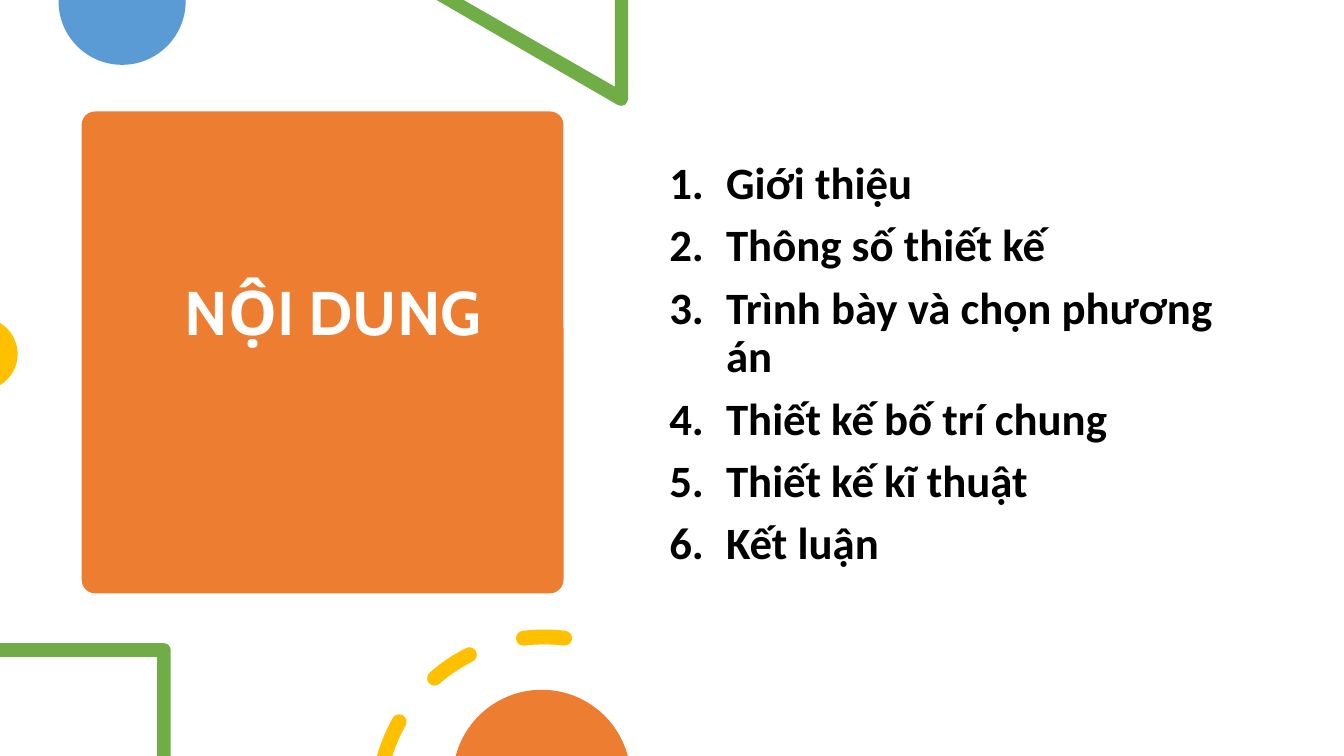
from math import cos, radians, sin, tan

from lxml import etree
from pptx import Presentation
from pptx.dml.color import RGBColor
from pptx.enum.shapes import MSO_SHAPE
from pptx.enum.text import MSO_ANCHOR
from pptx.oxml.ns import qn
from pptx.util import Pt

ROUNDED = MSO_SHAPE.ROUNDED_RECTANGLE
TOP, MIDDLE = MSO_ANCHOR.TOP, MSO_ANCHOR.MIDDLE

COLORS = {
    "orange": "ED7D31",
    "blue": "5B9BD5",
    "green": "70AD47",
    "yellow": "FFC000",
    "white": "FFFFFF",
    "black": "000000",
}
TITLE_FONT = {"name": "Cabin", "size": Pt(44), "bold": True}
LIST_FONT = {"name": "Calibri", "size": Pt(32), "bold": True}

AGENDA = [
    "Giới thiệu",
    "Thông số thiết kế",
    "Trình bày và chọn phương án",
    "Thiết kế bố trí chung",
    "Thiết kế kĩ thuật",
    "Kết luận",
]

RING = (388.8, 574)
RING_RADIUS, HALF_WIDTH = 119, 5.3


def on_circle(center, radius, angle):
    turn = radians(angle)
    return center[0] + radius * cos(turn), center[1] + radius * sin(turn)


def arc(center, radius, start, end, pieces=2):
    """Start point, then one (control, control, end) curve for each piece."""
    step = (end - start) / pieces
    reach = radius * 4 / 3 * tan(radians(step / 4))
    result = [on_circle(center, radius, start)]
    for i in range(pieces):
        a, b = start + i * step, start + (i + 1) * step
        first, last = on_circle(center, radius, a), on_circle(center, radius, b)
        result.append((on_circle(first, reach, a + 90),
                       on_circle(last, reach, b - 90), last))
    return result


def ring_dash(start, end, inner_start=None, round_start=True):
    """A dash on the ring around the orange disc."""
    inner_start = start if inner_start is None else inner_start
    cap = arc(on_circle(RING, RING_RADIUS, end), HALF_WIDTH, end, end + 180)
    inner = arc(RING, RING_RADIUS - HALF_WIDTH, end, inner_start, 1)
    dash = arc(RING, RING_RADIUS + HALF_WIDTH, start, end) + cap[1:]
    if not round_start:
        return dash + inner[1:]
    tail = on_circle(RING, RING_RADIUS, start)
    return dash + inner[1:] + arc(tail, HALF_WIDTH, start + 180, start + 360)[1:]


class SlideBuilder:
    def __init__(self, deck):
        self.slide = deck.slides.add_slide(deck.slide_layouts[6])
        self.shapes = self.slide.shapes

    def paint(self, shape, color):
        shape.shadow.inherit = False
        shape.fill.solid()
        shape.fill.fore_color.rgb = RGBColor.from_string(COLORS[color])
        shape.line.fill.background()

    def card(self, left, top, width, height, color, rounding):
        shape = self.shapes.add_shape(ROUNDED, Pt(left), Pt(top), Pt(width), Pt(height))
        shape.adjustments[0] = rounding
        self.paint(shape, color)

    def outline(self, color, *contours):
        """Each contour is a list of points and curves."""
        builder = None
        for contour in contours:
            ends = [step[-1] if len(step) == 3 else step for step in contour]
            ends = [(Pt(x), Pt(y)) for x, y in ends]
            if builder is None:
                builder = self.shapes.build_freeform(*ends[0], scale=1.0)
            else:
                builder.move_to(*ends[0])
            builder.add_line_segments(ends[1:], close=True)
        shape = builder.convert_to_shape()
        self.paint(shape, color)

        # Bend the segments that are curves
        steps = [step for contour in contours for step in contour[1:]]
        lines = list(shape.element.iter(qn("a:lnTo")))
        for line, step in zip(lines, steps):
            if len(step) == 3:
                curve = etree.Element(qn("a:cubicBezTo"))
                for x, y in step:
                    etree.SubElement(curve, qn("a:pt"), x=str(Pt(x) - shape.left),
                                     y=str(Pt(y) - shape.top))
                line.getparent().replace(line, curve)

    def text(self, left, top, width, height, lines, font, color, anchor=TOP,
             bottom_inset=3.6, indent=0, numbered=False):
        box = self.shapes.add_textbox(Pt(left), Pt(top), Pt(width), Pt(height))
        frame = box.text_frame
        frame.word_wrap = True
        frame.vertical_anchor = anchor
        frame.margin_bottom = Pt(bottom_inset)
        for index, line in enumerate(lines):
            para = frame.paragraphs[0] if index == 0 else frame.add_paragraph()
            para.line_spacing = 0.9
            para.space_before = Pt(10 if index else 0)
            properties = para._p.get_or_add_pPr()
            properties.set("marL", str(Pt(indent)))
            if numbered:
                properties.set("indent", str(-Pt(indent)))
                etree.SubElement(properties, qn("a:buAutoNum"), type="arabicPeriod")
            span = para.add_run()
            span.text = line
            for name, value in font.items():
                setattr(span.font, name, value)
            span.font.color.rgb = RGBColor.from_string(COLORS[color])


def main():
    deck = Presentation()
    deck.slide_width, deck.slide_height = Pt(960), Pt(540)
    page = SlideBuilder(deck)

    # Title card
    page.card(58.3, 79.6, 344.2, 344.2, "orange", 0.028)
    page.text(75.6, 87.8, 310.3, 328.3, ["NỘI DUNG"], TITLE_FONT, "white",
              anchor=MIDDLE, bottom_inset=56.3, indent=49.3)

    # Decorations along the top and left edges
    page.outline("blue", [(132.6, 0), (41.8, 0)] + arc((87.2, 0.9), 45.4, 180, 0))
    page.outline("green", [(448.6, 0), (439.2, 0), (439.2, 61.9), (331.2, 0), (311.8, 0)]
                 + arc((443.7, 70.7), 4.9, 118, 0))
    page.outline("yellow", arc((-13.3, 252.9), 25.9, -59, 59))

    # Agenda
    page.text(471, 111.2, 430.6, 304.6, AGENDA, LIST_FONT, "black",
              indent=40.5, numbered=True)

    # Decorations along the bottom edge
    page.outline("green", [(121.9, 540), (112.3, 540), (112.3, 469.2), (0, 469.2), (0, 459.4)]
                 + arc((117.1, 464.2), 4.8, -90, 0, 1))
    page.outline("yellow", ring_dash(195.88, 209.4, 197.4, round_start=False),
                 ring_dash(228.8, 243.3), ring_dash(262.8, 277))
    page.outline("orange", arc((387, 556.3), 63.6, 194.9, 345.1))

    deck.save("out.pptx")


if __name__ == "__main__":
    main()
